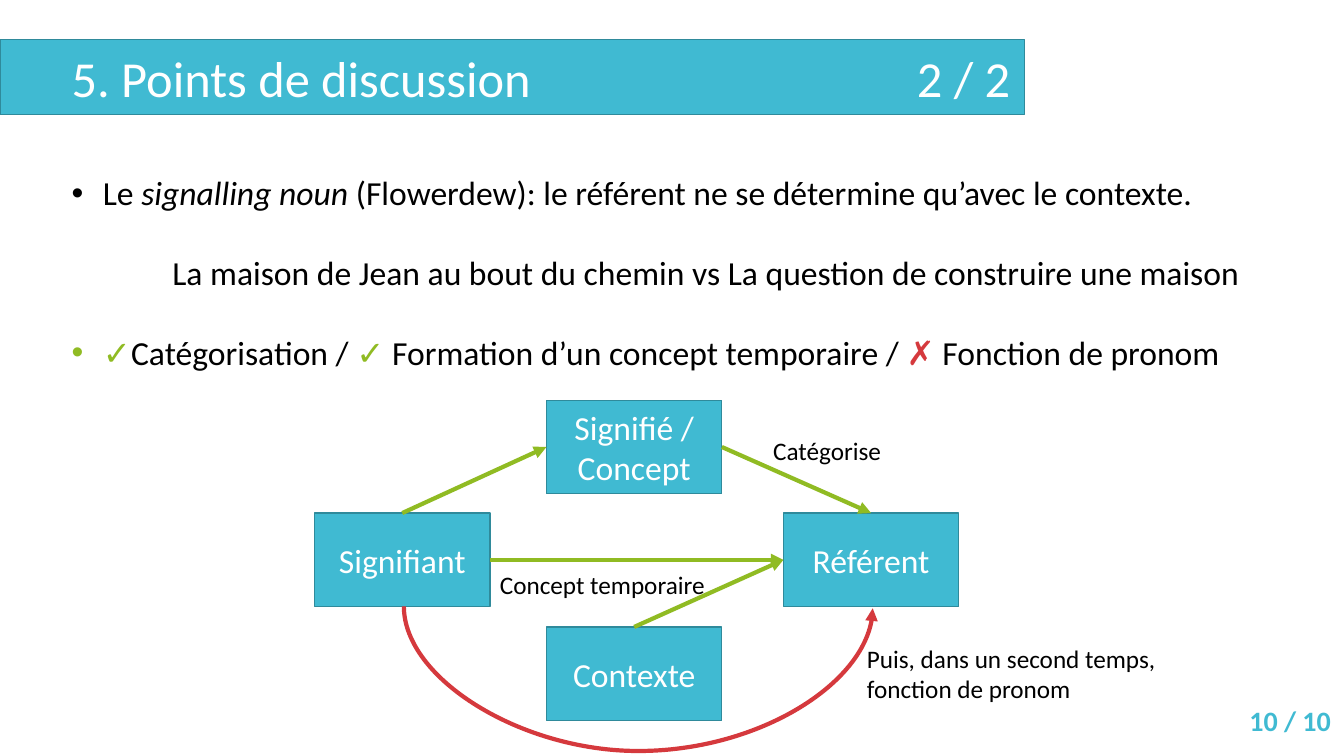
"""Build the discussion slide: title bar, two points and a sign diagram."""
from dataclasses import dataclass

from lxml.etree import SubElement as Sub
from pptx import Presentation
from pptx.dml.color import RGBColor as RGB
from pptx.enum.shapes import MSO_CONNECTOR as Link, MSO_SHAPE as Form
from pptx.enum.text import MSO_ANCHOR as Anchor, MSO_AUTO_SIZE as Fit, PP_ALIGN as Align
from pptx.oxml.ns import qn
from pptx.util import Inches, Pt


@dataclass(frozen=True)
class Theme:
    font: str = "Calibri"
    blue: RGB = RGB(0x40, 0xBA, 0xD2)
    edge: RGB = RGB(0x2F, 0x8A, 0x9B)
    green: RGB = RGB(0x90, 0xBB, 0x23)
    red: RGB = RGB(0xD5, 0x39, 0x3D)
    black: RGB = RGB(0, 0, 0)
    white: RGB = RGB(255, 255, 255)
    head: int = 36
    body: int = 24
    page: int = 20
    note: int = 18


theme = Theme()


def write(frame, paras, size, align=Align.LEFT, anchor=Anchor.TOP):
    frame.auto_size = Fit.NONE
    frame.vertical_anchor = anchor
    for i, runs in enumerate(paras):
        para = frame.paragraphs[0] if i == 0 else frame.add_paragraph()
        para.alignment = align
        for text, color in runs:
            run = para.add_run()
            run.text = text
            run.font.name = theme.font
            run.font.size = Pt(size)
            run.font.color.rgb = color


def draw(line, color):
    line.line.color.rgb = color
    line.line.width = Pt(3)
    Sub(line.line._get_or_add_ln(), qn("a:tailEnd"), type="triangle")
    Sub(line._element.spPr, qn("a:effectLst"))


deck = Presentation()
deck.slide_width, deck.slide_height = Inches(13.33), Inches(7.5)
slide = deck.slides.add_slide(deck.slide_layouts[1])
shapes = slide.shapes

title = shapes.title
title.left, title.top, title.width, title.height = map(Inches, (0, 0.39, 10.16, 0.75))
title.fill.solid()
title.fill.fore_color.rgb = theme.blue
title.line.color.rgb = theme.edge
title.line.width = Pt(0.85)
title.text_frame.margin_left = Inches(0.71)
write(title.text_frame, [[("5. Points de discussion\t2 / 2", theme.white)]],
      theme.head, anchor=Anchor.MIDDLE)
tabs = Sub(title.text_frame.paragraphs[0]._p.get_or_add_pPr(), qn("a:tabLst"))
Sub(tabs, qn("a:tab"), pos=str(Inches(9.31)), algn="r")

body = slide.placeholders[1]
body.left, body.top, body.width, body.height = map(Inches, (0.61, 1.66, 12.11, 2.12))
write(body.text_frame, [
    [("Le ", theme.black), ("signalling noun ", theme.black),
     ("(Flowerdew): le référent ne se détermine qu’avec le contexte.", theme.black)],
    [("La maison de Jean au bout du chemin vs La question de construire une maison",
      theme.black)],
    [("✓", theme.green), ("Catégorisation / ", theme.black), ("✓ ", theme.green),
     ("Formation d’un concept temporaire / ", theme.black), ("✗", theme.red),
     (" Fonction de pronom", theme.black)],
], theme.body)
points = body.text_frame.paragraphs
points[0].runs[1].font.italic = True
for para, gap, left, hang, mark in zip(
        points, (0, 28, 28), (0.31, 1, 0.31), (-0.31, 0, -0.31), (True, False, True)):
    para.space_before = Pt(gap)
    props = para._p.get_or_add_pPr()
    props.set("marL", str(Inches(left)))
    props.set("indent", str(Inches(hang)))
    if mark:
        Sub(props, qn("a:buChar"), char="•")
    else:
        Sub(props, qn("a:buNone"))

page = shapes.add_textbox(*map(Inches, (11.63, 6.95, 1.67, 0.4)))
page.text_frame.word_wrap = True
write(page.text_frame, [[("10 / 10", theme.blue)]], theme.page, Align.RIGHT, Anchor.MIDDLE)
page.text_frame.paragraphs[0].runs[0].font.bold = True

nodes = []
for x, y, words in [
    (3.12, 5.09, ["Signifiant"]),
    (5.42, 3.97, ["Signifié /", "Concept"]),
    (7.77, 5.09, ["Référent"]),
    (5.42, 6.22, ["Contexte"]),
]:
    node = shapes.add_shape(Form.RECTANGLE, *map(Inches, (x, y, 1.74, 0.93)))
    node.shadow.inherit = False
    node.fill.solid()
    node.fill.fore_color.rgb = theme.blue
    node.line.color.rgb = theme.edge
    node.line.width = Pt(0.85)
    write(node.text_frame, [[(word, theme.white)] for word in words],
          theme.body, Align.CENTER, Anchor.MIDDLE)
    nodes.append(node)

sign, sense, thing, context = nodes
top, west, east = 0, 1, 3
for start, out, end, into in [
    (sign, east, thing, west),
    (context, top, thing, west),
    (sign, top, sense, west),
    (sense, east, thing, top),
]:
    arrow = shapes.add_connector(Link.STRAIGHT, 0, 0, 0, 0)
    arrow.begin_connect(start, out)
    arrow.end_connect(end, into)
    draw(arrow, theme.green)

curve = shapes.add_connector(Link.CURVE, *map(Inches, (6.34, 3.7, 6.32, 8.35)))
curve._element.spPr.find(qn("a:xfrm")).set("rot", "16200000")
bend = curve._element.spPr.find(qn("a:prstGeom")).find(qn("a:avLst"))
Sub(bend, qn("a:gd"), name="adj1", fmla="val 7150000")
draw(curve, theme.red)

for x, y, wide, high, lines in [
    (7.57, 4.27, 1.33, 0.4, ["Catégorise"]),
    (4.86, 5.6, 2.3, 0.4, ["Concept temporaire"]),
    (8.5, 6.33, 3.13, 0.71, ["Puis, dans un second temps,", "fonction de pronom"]),
]:
    label = shapes.add_textbox(*map(Inches, (x, y, wide, high)))
    label.text_frame.word_wrap = False
    write(label.text_frame, [[(line, theme.black)] for line in lines], theme.note)

deck.save("out.pptx")
